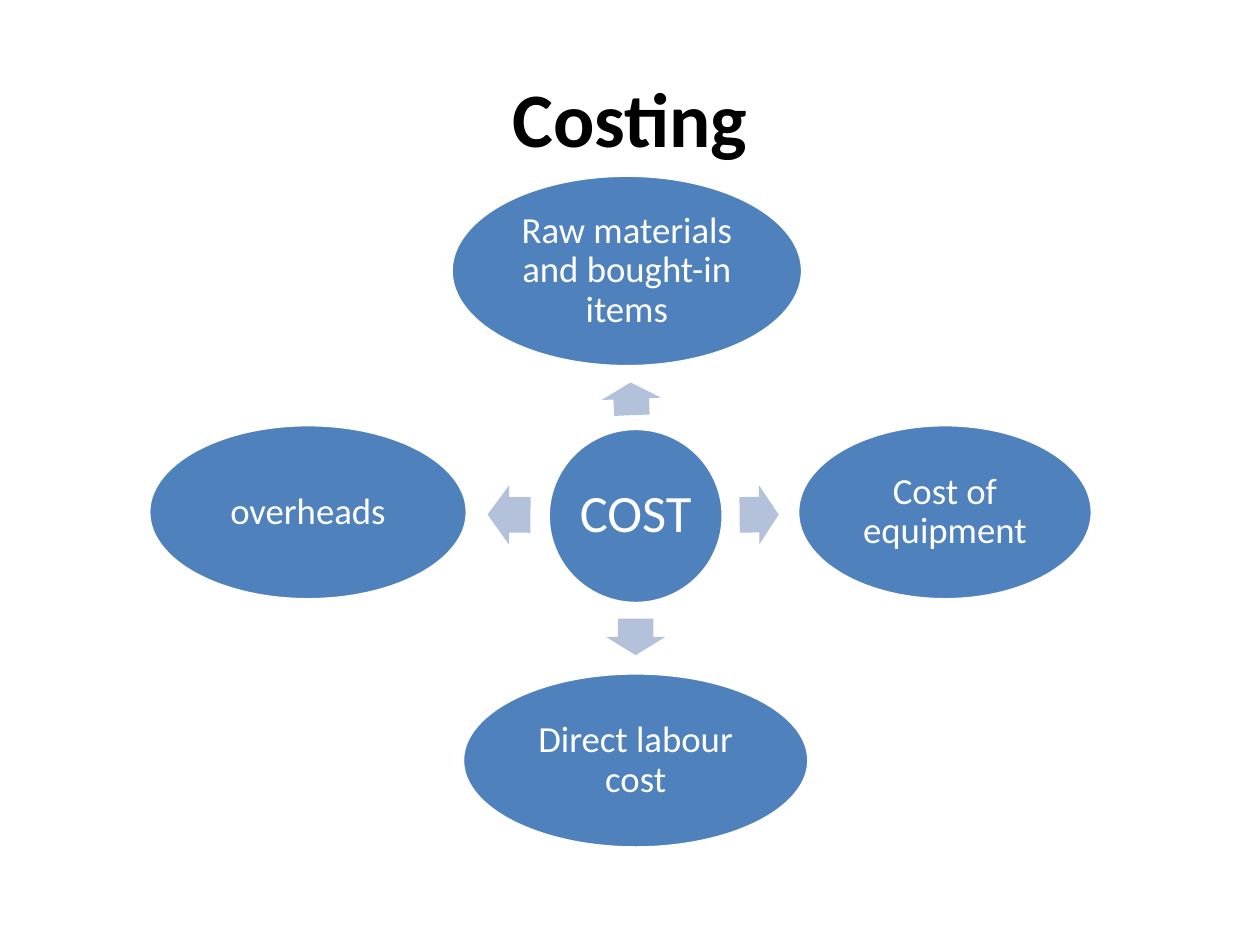
"""Build the Costing slide: a central cost circle with four components around it."""
from pptx import Presentation
from pptx import util as u
from pptx.dml.color import RGBColor
from pptx.enum import shapes, text


def rgb(value):
    return RGBColor.from_string(value)


def write(sp, words, size=21, color="FFFFFF", bold=False, inset=0.03, spacing=0.9):
    tf = sp.text_frame
    tf.word_wrap = True
    tf.vertical_anchor = text.MSO_ANCHOR.MIDDLE
    tf.margin_left = tf.margin_right = u.Inches(inset)
    tf.margin_top = tf.margin_bottom = u.Inches(inset)
    p = tf.paragraphs[0]
    p.alignment = text.PP_ALIGN.CENTER
    p.line_spacing = spacing
    r = p.add_run()
    r.text = words
    r.font.name = "Calibri"
    r.font.size = u.Pt(size)
    r.font.bold = bold
    r.font.color.rgb = rgb(color)


prs = Presentation()
prs.slide_width, prs.slide_height = u.Inches(10), u.Inches(7.5)
s = prs.slides.add_slide(prs.slide_layouts[6])

title = s.shapes.add_textbox(u.Inches(0.5), u.Inches(0.3), u.Inches(9), u.Inches(1.25))
write(title, "Costing", size=44, color="000000", bold=True, inset=0.05, spacing=1)

ellipses = [
    ("COST", 4.35, 3.4, 1.39, 1.39, 30),
    ("Raw materials and bought-in items", 3.58, 1.39, 2.79, 1.52, 21),
    ("Cost of equipment", 6.33, 3.37, 2.34, 1.39, 21),
    ("Direct labour cost", 3.67, 5.34, 2.75, 1.39, 21),
    ("overheads", 1.18, 3.37, 2.53, 1.39, 21),
]
for words, left, top, width, height, size in ellipses:
    sp = s.shapes.add_shape(shapes.MSO_SHAPE.OVAL, u.Inches(left), u.Inches(top),
                            u.Inches(width), u.Inches(height))
    sp.shadow.inherit = False
    sp.fill.solid()
    sp.fill.fore_color.rgb = rgb("4F81BD")
    sp.line.color.rgb = rgb("FFFFFF")
    sp.line.width = u.Pt(2)
    write(sp, words, size=size)

arrows = [
    (4.88, 2.93, 0.26, 267.7),
    (5.87, 3.85, 0.31, 359.4),
    (4.9, 4.82, 0.29, 90),
    (3.87, 3.85, 0.34, 180.5),
]
for left, top, width, angle in arrows:
    sp = s.shapes.add_shape(shapes.MSO_SHAPE.RIGHT_ARROW, u.Inches(left), u.Inches(top),
                            u.Inches(width), u.Inches(0.47))
    sp.adjustments[0], sp.adjustments[1] = 0.6, 0.5
    sp.rotation = angle
    sp.shadow.inherit = False
    sp.fill.solid()
    sp.fill.fore_color.rgb = rgb("B3C1DB")
    sp.line.fill.background()

prs.save("out.pptx")
